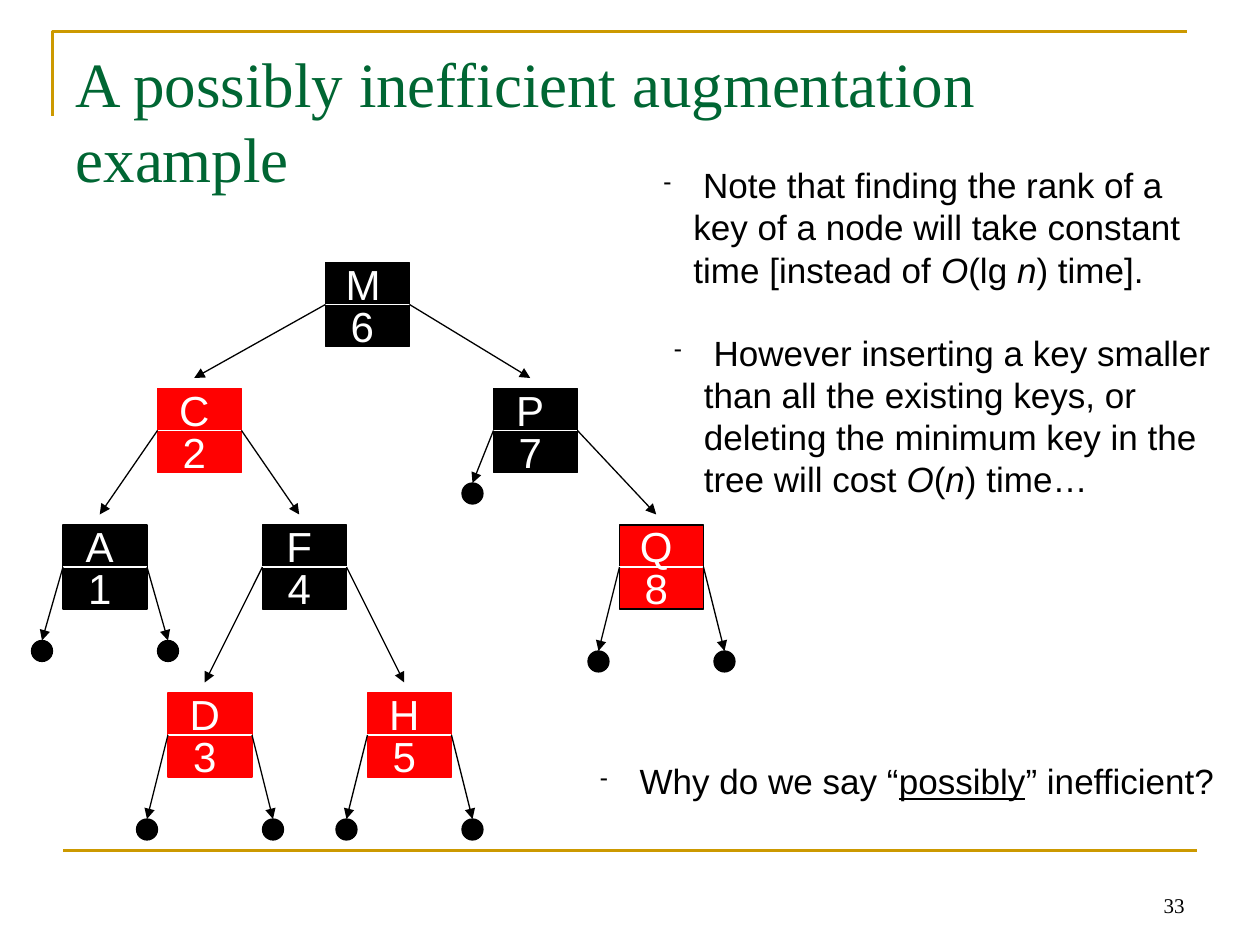
import pptx
import pptx.dml.color
import pptx.enum.shapes
import pptx.enum.text
import pptx.oxml.ns
import pptx.util
from lxml import etree

Cm = pptx.util.Cm
Pt = pptx.util.Pt
Align = pptx.enum.text.PP_ALIGN
Anchor = pptx.enum.text.MSO_ANCHOR
Shape = pptx.enum.shapes.MSO_SHAPE

UNIT = 2.54 / 12  # tree grid step in centimetres
NODE_SIZE = 8
LEAF_SIZE = 2
BLACK, RED, WHITE, GOLD, GREEN = "000000", "FF0101", "FFFFFF", "CC9900", "006633"

# key: rank, left and top on the grid, fill, outline
NODES = {
    "M": ("6", 31, 25, BLACK, BLACK),
    "C": ("2", 15, 37, RED, RED),
    "P": ("7", 47, 37, BLACK, BLACK),
    "A": ("1", 6, 50, BLACK, BLACK),
    "F": ("4", 25, 50, BLACK, BLACK),
    "Q": ("8", 59, 50, RED, BLACK),
    "D": ("3", 16, 66, RED, RED),
    "H": ("5", 35, 66, RED, RED),
}
# key: left child, right child; a number is the drop to an empty leaf
CHILDREN = {
    "M": ("C", "P"),
    "C": ("A", "F"),
    "P": (9, "Q"),
    "A": (11, 11),
    "F": ("D", "H"),
    "Q": (12, 12),
    "D": (12, 12),
    "H": (12, 12),
}
ITALIC, UNDERLINE = {"italic": True}, {"underline": True}
# left, top, width, height in centimetres, then runs
NOTES = [
    (13.13, 3.18, 11.43, 2.79, [
        (" Note that finding the rank of a key of a node will take constant time [instead of ", {}),
        ("O", ITALIC), ("(lg ", {}), ("n", ITALIC), (") time].", {})]),
    (13.34, 6.56, 11.43, 3.66, [
        (" However inserting a key smaller than all the existing keys, or deleting "
         "the minimum key in the tree will cost ", {}),
        ("O", ITALIC), ("(", {}), ("n", ITALIC), (") time…", {})]),
    (11.85, 15.19, 12.9, 1.11, [
        (" Why do we say “", {}), ("possibly", UNDERLINE), ("” inefficient?", {})]),
]


def color(value):
    return pptx.dml.color.RGBColor.from_string(value)


def add_element(parent, name, **attributes):
    return etree.SubElement(parent, pptx.oxml.ns.qn(name), attributes)


def grid(*values):
    return [Cm(value * UNIT) for value in values]


class SlideBuilder:
    """Holds the text styles and the slide being filled."""

    styles = {
        "title": {"name": "Times New Roman", "size": Pt(36)},
        "number": {"name": "Times New Roman", "size": Pt(12)},
        "node": {"name": "Arial", "size": Pt(24)},
        "note": {"name": "Arial", "size": Pt(20)},
    }

    def __init__(self, slide):
        self.slide = slide

    def add_text(self, paragraph, text, style, text_color=BLACK, **extra):
        run = paragraph.add_run()
        run.text = text
        for name, value in {**self.styles[style], **extra}.items():
            setattr(run.font, name, value)
        run.font.color.rgb = color(text_color)

    def title(self, text, *box):
        shape = self.slide.shapes.title
        for name, value in zip(("left", "top", "width", "height"), box):
            setattr(shape, name, value)
        frame = shape.text_frame
        frame.auto_size = pptx.enum.text.MSO_AUTO_SIZE.NONE
        frame.vertical_anchor = Anchor.TOP
        frame.paragraphs[0].alignment = Align.LEFT
        self.add_text(frame.paragraphs[0], text, "title", GREEN)

    def text_box(self, box, wrap=True, align=Align.LEFT, anchor=Anchor.TOP, container=None):
        """Add an empty text box and return its paragraph."""
        frame = (container or self.slide).shapes.add_textbox(*box).text_frame
        frame.word_wrap = wrap
        frame.vertical_anchor = anchor
        frame.paragraphs[0].alignment = align
        return frame.paragraphs[0]

    def note(self, box, runs):
        paragraph = self.text_box(box)
        properties = paragraph._p.get_or_add_pPr()
        properties.set("marL", str(Cm(0.6)))
        properties.set("indent", str(-Cm(0.6)))
        add_element(add_element(properties, "a:buClr"), "a:srgbClr", val=BLACK)
        add_element(properties, "a:buSzPct", val="65000")
        add_element(properties, "a:buChar", char="-")
        for text, extra in runs:
            self.add_text(paragraph, text, "note", **extra)

    def line(self, start, end, line_color, width=0.75, arrow=False, container=None):
        connector = (container or self.slide).shapes.add_connector(
            pptx.enum.shapes.MSO_CONNECTOR.STRAIGHT, *start, *end)
        connector.line.color.rgb = color(line_color)
        connector.line.width = Pt(width)
        if arrow:
            add_element(connector.line._get_or_add_ln(), "a:tailEnd", type="triangle")
        add_element(connector._element.spPr, "a:effectLst")

    def corner(self, points):
        builder = self.slide.shapes.build_freeform(*points[0])
        builder.add_line_segments(points[1:], close=False)
        shape = builder.convert_to_shape()
        shape.fill.background()
        shape.line.color.rgb = color(GOLD)
        shape.line.width = Pt(1.5)
        shape.shadow.inherit = False

    def filled(self, kind, box, fill, outline, container=None):
        shape = (container or self.slide).shapes.add_shape(kind, *box)
        shape.fill.solid()
        shape.fill.fore_color.rgb = color(fill)
        shape.line.color.rgb = color(outline)
        shape.line.width = Pt(0.75)
        shape.shadow.inherit = False

    def node(self, key, rank, left, top, fill, outline):
        group = self.slide.shapes.add_group_shape()
        self.filled(Shape.RECTANGLE, grid(left, top, NODE_SIZE, NODE_SIZE), fill, outline, group)
        for text, text_top in ((key, top - 1), (rank, top + 3)):
            paragraph = self.text_box(
                grid(left + 0.75, text_top, 5.5, 6), False, Align.CENTER, container=group)
            self.add_text(paragraph, text, "node", WHITE)
        middle = top + NODE_SIZE / 2
        self.line(grid(left, middle), grid(left + NODE_SIZE, middle), WHITE, container=group)

    def branch(self, key, child, side):
        """Draw the arrow to a child; side is 0 for left and 1 for right."""
        left, top = NODES[key][1:3]
        if child in NODES:
            child_left, child_top = NODES[child][1:3]
            end = grid(child_left + 3.5, child_top - 1)
        else:
            leaf_left, leaf_top = left - 3 + 12 * side, top + child
            self.filled(Shape.OVAL, grid(leaf_left, leaf_top, LEAF_SIZE, LEAF_SIZE), BLACK, BLACK)
            end = grid(leaf_left + LEAF_SIZE / 2, leaf_top)
        start = grid(left + NODE_SIZE * side, top + NODE_SIZE / 2)
        self.line(start, end, BLACK, arrow=True)


def main():
    presentation = pptx.Presentation()
    presentation.slide_width, presentation.slide_height = Cm(25.4), Cm(19.05)
    builder = SlideBuilder(presentation.slides.add_slide(presentation.slide_layouts[5]))

    builder.corner([(Cm(1.06), Cm(2.33)), (Cm(1.06), Cm(0.64)), (Cm(23.92), Cm(0.64))])
    builder.line((Cm(1.27), Cm(17.15)), (Cm(24.13), Cm(17.15)), GOLD, 1.5)
    number = builder.text_box((Cm(18.2), Cm(17.36), Cm(5.93), Cm(1.27)),
                              align=Align.RIGHT, anchor=Anchor.BOTTOM)
    builder.add_text(number, "33", "number")
    builder.title("A possibly inefficient augmentation example",
                  Cm(1.27), Cm(0.76), Cm(22.86), Cm(3.18))

    for key, values in NODES.items():
        builder.node(key, *values)
    for key, children in CHILDREN.items():
        for side, child in enumerate(children):
            builder.branch(key, child, side)
    for *box, runs in NOTES:
        builder.note([Cm(value) for value in box], runs)

    presentation.save("out.pptx")


if __name__ == "__main__":
    main()
